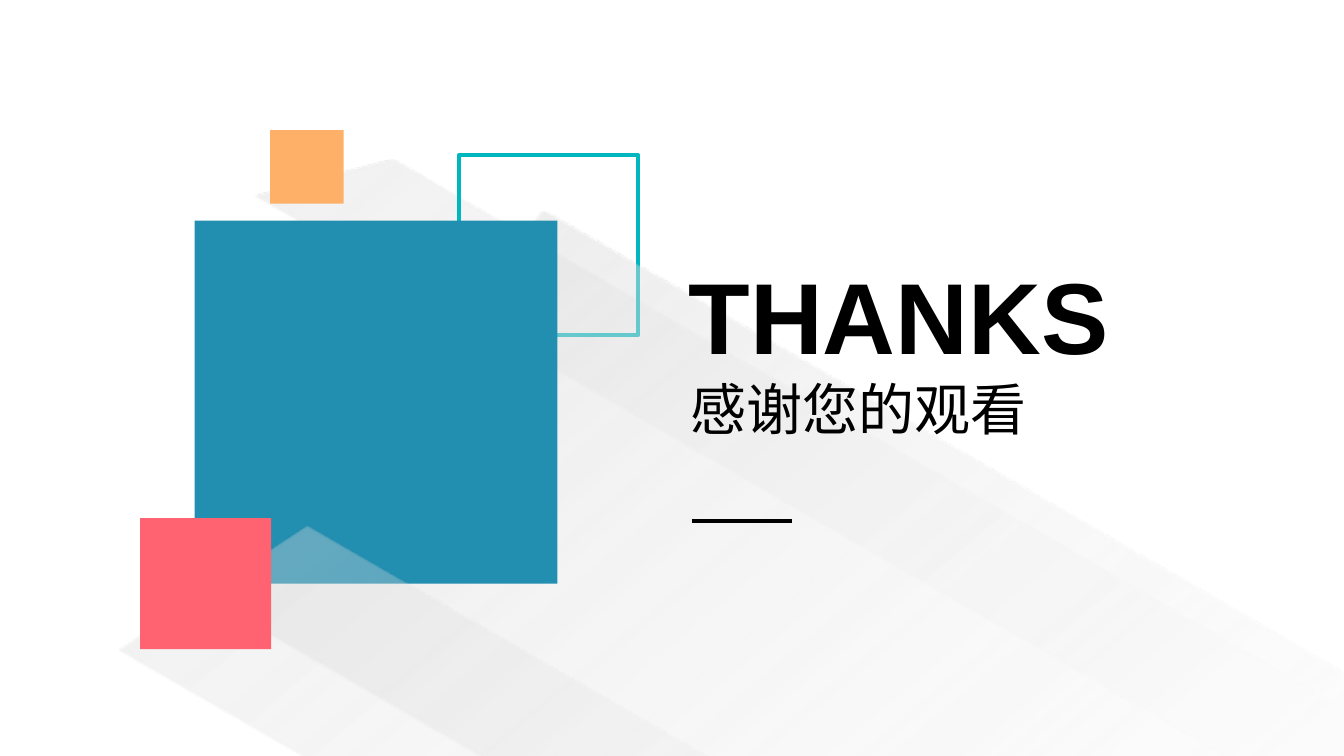
from math import cos, radians, sin

from lxml import etree
from pptx import Presentation, util as u
from pptx.dml.color import RGBColor
from pptx.enum import shapes, text
from pptx.oxml import parse_xml
from pptx.oxml.ns import nsdecls, qn

COLORS = {
    "blue": "228EB0", "orange": "FEB068", "red": "FF6372", "teal": "00B6BF", "black": "000000",
    "shade": "D9D9D9", "pale": "F2F2F2", "white": "FFFFFF",
}
TILT = 30

deck = Presentation()
deck.slide_width, deck.slide_height = u.Inches(13.33), u.Inches(7.5)
page = deck.slides.add_slide(deck.slide_layouts[5])


def turn(x, y, degrees):
    """Rotate a point clockwise around the slide's top left corner."""
    angle = radians(degrees)
    return x * cos(angle) - y * sin(angle), x * sin(angle) + y * cos(angle)


def add_long_shadow(corners, opacity):
    """Draw a tilted shape whose gradient fades out along its length."""
    level = [turn(x, y, -TILT) for x, y in corners]
    builder = page.shapes.build_freeform(*level[0], scale=u.Inches(1))
    builder.add_line_segments(level[1:], close=True)
    shadow = builder.convert_to_shape()
    xs, ys = zip(*level)
    center_x, center_y = turn((min(xs) + max(xs)) / 2, (min(ys) + max(ys)) / 2, TILT)
    shadow.left = u.Inches(center_x) - shadow.width // 2
    shadow.top = u.Inches(center_y) - shadow.height // 2
    shadow.rotation = TILT
    shadow.shadow.inherit = False
    shadow.line.fill.background()
    stops = "".join(
        f'<a:gs pos="{place * 1000}"><a:srgbClr val="{COLORS[name]}">'
        f'<a:alpha val="{alpha * 1000}"/></a:srgbClr></a:gs>'
        for place, name, alpha in [(0, "shade", opacity), (85, "pale", 0), (100, "white", 0)]
    )
    gradient = parse_xml(
        f'<a:gradFill {nsdecls("a")} rotWithShape="1"><a:gsLst>{stops}</a:gsLst>'
        f'<a:lin ang="{20 * 60000}" scaled="0"/></a:gradFill>'
    )
    shadow.element.spPr.find(qn("a:custGeom")).addnext(gradient)


# Squares from back to front: left, top, side, fill, outline, shadow corners, shadow opacity
squares = [
    (2.68, 1.29, 0.73, "orange", None,
     [(2.68, 2.03), (3.36, 1.28), (15.88, 8.52), (15.39, 9.37)], 40),
    (4.55, 1.54, 1.78, None, "teal", None, 0),
    (1.93, 2.19, 3.6, "blue", None,
     [(1.9, 5.79), (5.49, 2.19), (16.8, 8.73), (14.34, 12.99)], 60),
    (1.39, 5.14, 1.3, "red", None,
     [(1.4, 6.44), (2.67, 5.16), (14.1, 11.75), (13.23, 13.25)], 40),
]
for left, top, side, fill, outline, corners, opacity in squares:
    if corners:
        add_long_shadow(corners, opacity)
    square = page.shapes.add_shape(
        shapes.MSO_SHAPE.RECTANGLE, *map(u.Inches, (left, top, side, side)))
    square.shadow.inherit = False
    if fill:
        square.fill.solid()
        square.fill.fore_color.rgb = RGBColor.from_string(COLORS[fill])
    else:
        square.fill.background()
    if outline:
        square.line.color.rgb = RGBColor.from_string(COLORS[outline])
        square.line.width = u.Pt(3)
    else:
        square.line.fill.background()

# Title and subtitle stand in front of the shadows
title = page.shapes.title
page.shapes._spTree.append(title.element)
subtitle = page.shapes.add_textbox(0, 0, 0, 0)
captions = [
    (title, "THANKS", (6.73, 2.47, 4.41, 1.31), {"size": u.Pt(72), "bold": True}),
    (subtitle, "感谢您的观看", (6.75, 3.67, 3.57, 0.77), {"size": u.Pt(40), "bold": False}),
]
for box, words, place, font_format in captions:
    box.left, box.top, box.width, box.height = map(u.Inches, place)
    frame = box.text_frame
    frame_format = {
        "word_wrap": False,
        "auto_size": text.MSO_AUTO_SIZE.SHAPE_TO_FIT_TEXT,
        "vertical_anchor": text.MSO_ANCHOR.TOP,
    }
    for name, value in frame_format.items():
        setattr(frame, name, value)
    para = frame.paragraphs[0]
    para.alignment = text.PP_ALIGN.LEFT
    span = para.add_run()
    span.text = words
    for name, value in {"name": "Arial", **font_format}.items():
        setattr(span.font, name, value)
    span.font.color.rgb = RGBColor.from_string(COLORS["black"])

rule = page.shapes.add_connector(
    shapes.MSO_CONNECTOR.STRAIGHT, *map(u.Inches, (6.86, 5.17, 7.86, 5.17)))
rule.line.color.rgb = RGBColor.from_string(COLORS["black"])
rule.line.width = u.Pt(3)
etree.SubElement(rule.element.spPr, qn("a:effectLst"))

deck.save("out.pptx")
